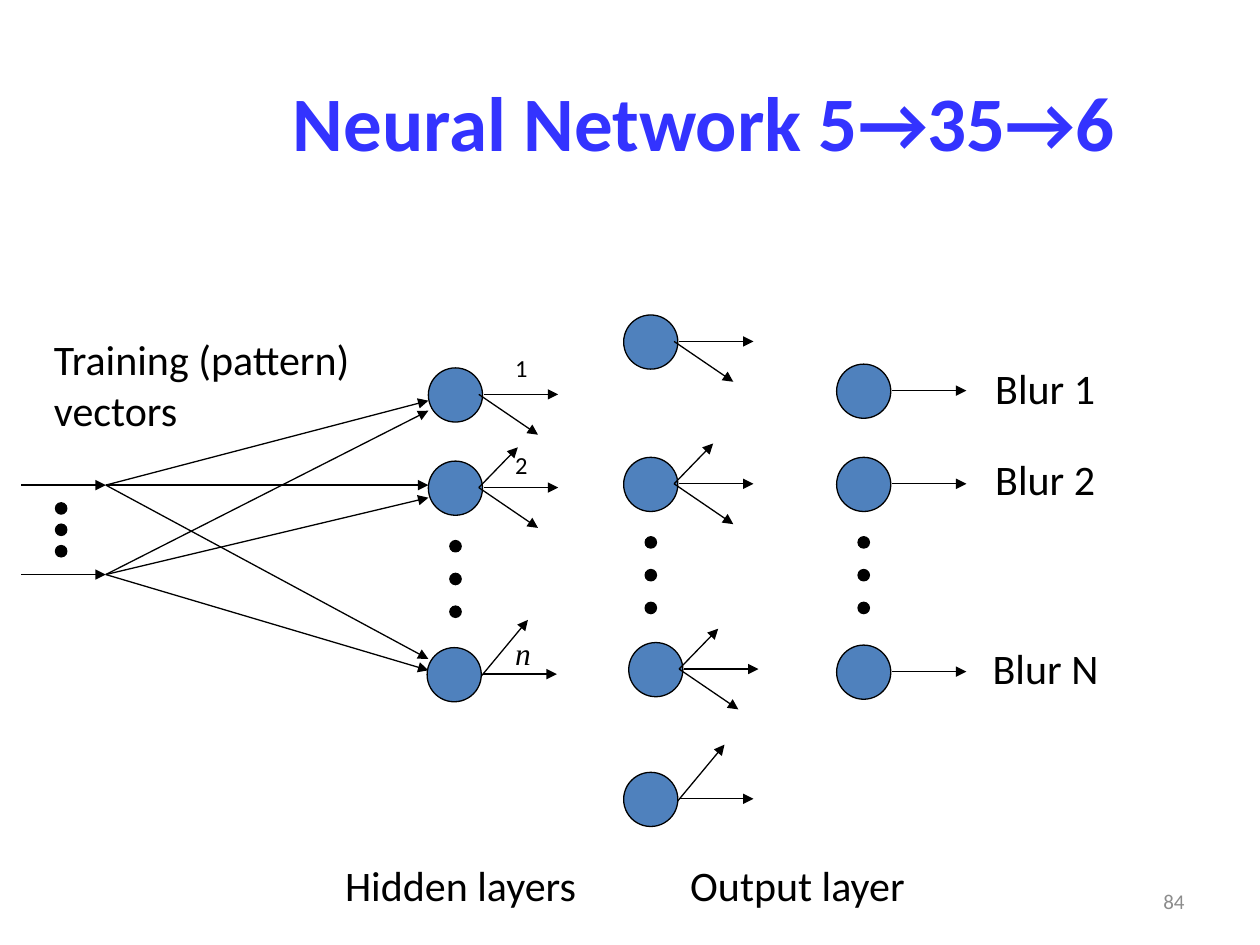
from dataclasses import dataclass

from lxml import etree
from pptx import Presentation
from pptx import util as u
from pptx.dml.color import RGBColor
from pptx.enum import shapes, text
from pptx.oxml.ns import qn

PX = u.Inches(1) // 100


@dataclass(frozen=True)
class Theme:
    font: str = "Calibri"
    math_font: str = "Times New Roman"
    ink: str = "000000"
    accent: str = "3333FF"
    node: str = "4F81BD"
    muted: str = "8C8C8C"
    title: int = 44
    body: int = 24
    symbol: int = 18
    small: int = 14
    footer: int = 12
    line: float = 0.75


THEME = Theme()
NODE, DOT = 43, 9

# Ray start and end, relative to the top left of a node.
RAYS = {
    "ahead": ((44, 21), (103, 21)),
    "down": ((40, 21), (87, 53)),
    "up": ((40, 21), (71, -11)),
    "steep": ((41, 25), (80, -22)),
}


def px(*lengths):
    return [u.Emu(length * PX) for length in lengths]


def add_text(slide, box, content, size=THEME.body, color=THEME.ink, font=THEME.font,
             bold=False, italic=False, align=text.PP_ALIGN.LEFT, anchor=text.MSO_ANCHOR.TOP):
    frame = slide.shapes.add_textbox(*px(*box)).text_frame
    frame.word_wrap = True
    frame.vertical_anchor = anchor
    paragraph = frame.paragraphs[0]
    paragraph.alignment = align
    run = paragraph.add_run()
    run.text = content
    run.font.size = u.Pt(size)
    run.font.name = font
    run.font.bold = bold
    run.font.italic = italic
    run.font.color.rgb = RGBColor.from_string(color)


def add_arrow(slide, start, end):
    arrow = slide.shapes.add_connector(shapes.MSO_CONNECTOR.STRAIGHT, *px(*start, *end))
    arrow.line.width = u.Pt(THEME.line)
    arrow.line.color.rgb = RGBColor.from_string(THEME.ink)
    properties = arrow._element.spPr
    etree.SubElement(properties.find(qn("a:ln")), qn("a:tailEnd"), type="triangle")
    etree.SubElement(properties, qn("a:effectLst"))


def add_circle(slide, left, top, size, fill):
    circle = slide.shapes.add_shape(shapes.MSO_SHAPE.OVAL, *px(left, top, size, size))
    circle.shadow.inherit = False
    circle.fill.solid()
    circle.fill.fore_color.rgb = RGBColor.from_string(fill)
    circle.line.width = u.Pt(THEME.line)
    circle.line.color.rgb = RGBColor.from_string(THEME.ink)


def add_dots(slide, left, top, pitch):
    """Three dots, one below the other, standing for the items left out."""
    for index in range(3):
        add_circle(slide, left, top + index * pitch, DOT, THEME.ink)


def add_neuron(slide, left, top, rays):
    def add_ray(name):
        add_arrow(slide, *[(left + x, top + y) for x, y in RAYS[name]])

    if "steep" in rays:
        add_ray("steep")
    add_circle(slide, left, top, NODE, THEME.node)
    for name in rays:
        if name != "steep":
            add_ray(name)


def add_layer(slide, box, neurons, dots_top):
    """A column of neurons, each given as (left, top, rays) within the box."""
    left, top = box
    for x, y, rays in neurons:
        add_neuron(slide, left + x, top + y, rays)
    add_dots(slide, left + (NODE - DOT) // 2, top + dots_top, 26)


def add_inputs(slide, box):
    """Input arrows and their links to the first hidden layer."""
    left, top, width, height = box
    add_text(slide, (left + 16, top - 125, 308, 90), "Training (pattern) vectors")
    fan = left + 67
    right = left + width
    bottom = top + height
    for y in (top, bottom):
        add_arrow(slide, (left, y), (fan, y))
    add_dots(slide, left + 27, top + 14, 17)
    for start, offsets in ((top, (-67, 0, 138)), (bottom, (-59, 10, 147))):
        for offset in offsets:
            add_arrow(slide, (fan, start), (right, top + offset))


def add_labels(slide, left, labels, width, height, **style):
    for top, label in labels:
        add_text(slide, (left, top, width, height), label, **style)


def add_network(slide):
    add_inputs(slide, (17, 385, 323, 71))
    add_layer(slide, (340, 292), [
        (0, 0, ("ahead", "down")),
        (0, 74, ("ahead", "down", "up")),
        (-1, 222, ("ahead", "steep")),
    ], 137)
    add_labels(slide, 399, [(275, "1"), (352, "2")], 34, 34, size=THEME.small)
    add_labels(slide, 399, [(498, "n")], 34, 40, size=THEME.symbol,
               font=THEME.math_font, italic=True)
    add_layer(slide, (495, 250), [
        (0, 0, ("ahead", "down")),
        (0, 113, ("ahead", "down", "up")),
        (4, 260, ("ahead", "down", "up")),
        (0, 363, ("ahead", "steep")),
    ], 176)
    add_layer(slide, (664, 289), [(0, top, ("ahead",)) for top in (0, 74, 223)], 137)
    add_labels(slide, 780, [(283, "Blur 1"), (355, "Blur 2")], 121, 50)
    add_labels(slide, 778, [(505, "Blur N")], 121, 50)


def add_captions(slide, top):
    for left, caption in ((264, "Hidden layers"), (538, "Output layer")):
        add_text(slide, (left, top, 220, 50), caption)


def main():
    presentation = Presentation()
    presentation.slide_width, presentation.slide_height = px(1000, 750)
    slide = presentation.slides.add_slide(presentation.slide_layouts[6])
    add_text(slide, (126, 28, 866, 135), "Neural Network 5→35→6", size=THEME.title,
             color=THEME.accent, bold=True, align=text.PP_ALIGN.CENTER,
             anchor=text.MSO_ANCHOR.MIDDLE)
    add_network(slide)
    add_captions(slide, 677)
    add_text(slide, (717, 695, 233, 40), "84", size=THEME.footer, color=THEME.muted,
             align=text.PP_ALIGN.RIGHT, anchor=text.MSO_ANCHOR.MIDDLE)
    presentation.save("out.pptx")


if __name__ == "__main__":
    main()
